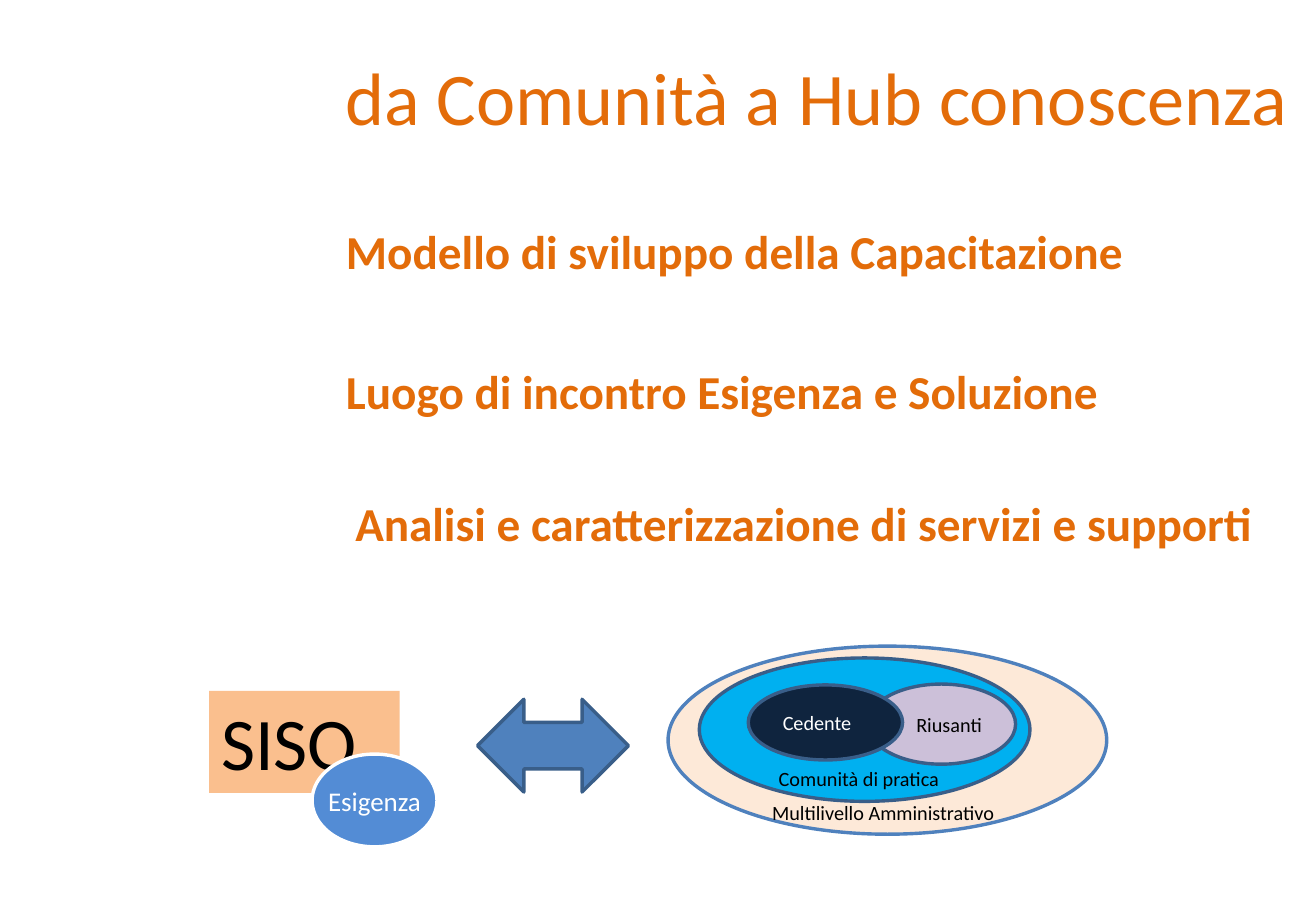
from dataclasses import dataclass
from typing import Optional

from pptx import Presentation
from pptx.dml.color import RGBColor
from pptx.enum import shapes, text
from pptx.util import Pt

ORANGE = RGBColor(0xE3, 0x6C, 0x09)
PEACH = RGBColor(0xFA, 0xBF, 0x8E)
CREAM = RGBColor(0xFD, 0xE9, 0xD8)
BLUE = RGBColor(0x4F, 0x81, 0xBD)
DARK_BLUE = RGBColor(0x39, 0x5E, 0x89)
MID_BLUE = RGBColor(0x53, 0x8C, 0xD5)
SKY = RGBColor(0x00, 0xB0, 0xF0)
LILAC = RGBColor(0xCC, 0xC0, 0xD9)
NAVY = RGBColor(0x0F, 0x24, 0x3E)
BLACK = RGBColor(0, 0, 0)
WHITE = RGBColor(0xFF, 0xFF, 0xFF)

RECT = shapes.MSO_SHAPE.RECTANGLE
OVAL = shapes.MSO_SHAPE.OVAL
ARROW = shapes.MSO_SHAPE.LEFT_RIGHT_ARROW
LEFT, CENTER, RIGHT = text.PP_ALIGN.LEFT, text.PP_ALIGN.CENTER, text.PP_ALIGN.RIGHT
TOP, MIDDLE = text.MSO_ANCHOR.TOP, text.MSO_ANCHOR.MIDDLE


@dataclass
class Label:
    words: str
    size: float
    color: RGBColor = BLACK
    bold: bool = False
    align: text.PP_ALIGN = LEFT
    anchor: text.MSO_ANCHOR = TOP
    wrap: bool = True


@dataclass
class Item:
    """A shape, or a plain text box when it has no kind; box is left, top, width, height."""
    box: tuple[float, float, float, float]
    label: Optional[Label] = None
    kind: Optional[shapes.MSO_SHAPE] = None
    fill: Optional[RGBColor] = None
    line: Optional[RGBColor] = None


def heading(left: float, top: float, width: float, words: str) -> Item:
    return Item((left, top, width, 41), Label(words, 28, ORANGE, bold=True))


TITLE_BOX = (197.5, 26.5, 582.5, 60.5)
TITLE = Label("da Comunità a Hub conoscenza", 44, ORANGE)

ITEMS = [
    heading(198, 128, 487.5, "Modello di sviluppo della Capacitazione"),
    heading(198, 211.5, 487.5, "Luogo di incontro Esigenza e Soluzione"),
    heading(203.5, 289.5, 550, "Analisi e caratterizzazione di servizi e supporti"),
    Item((124, 409.5, 113, 60.5), Label("SISO", 44), RECT, PEACH),
    Item((185, 447, 74, 55),
         Label("Esigenza", 16, WHITE, align=CENTER, anchor=MIDDLE, wrap=False),
         OVAL, MID_BLUE, WHITE),
    Item((396, 383, 260, 111.5), None, OVAL, CREAM, BLUE),
    Item((414.5, 390, 196, 85), None, OVAL, SKY, DARK_BLUE),
    Item((514, 405.5, 88, 47.5), Label("Riusanti", 12, align=RIGHT, anchor=MIDDLE),
         OVAL, LILAC, DARK_BLUE),
    Item((454.5, 450.5, 129.5, 21.5), Label("Comunità di pratica", 12)),
    Item((450.5, 471, 175.5, 21.5), Label("Multilivello Amministrativo", 12)),
    Item((443.5, 406, 91.5, 44.5), Label("Cedente", 12, WHITE, anchor=MIDDLE),
         OVAL, NAVY, DARK_BLUE),
    Item((283, 414.5, 89.5, 55), None, ARROW, BLUE, DARK_BLUE),
]


def write(sp, label: Label) -> None:
    tf = sp.text_frame
    tf.text = label.words
    tf.word_wrap = label.wrap
    tf.auto_size = text.MSO_AUTO_SIZE.NONE
    tf.vertical_anchor = label.anchor
    tf.margin_left = tf.margin_right = Pt(7.2)
    tf.margin_top = tf.margin_bottom = Pt(3.6)
    p = tf.paragraphs[0]
    p.alignment = label.align
    font = p.runs[0].font
    font.name = "Calibri"
    font.size = Pt(label.size)
    font.bold = label.bold
    font.color.rgb = label.color


def draw(s, item: Item) -> None:
    box = [Pt(v) for v in item.box]
    if item.kind is None:
        sp = s.shapes.add_textbox(*box)
    else:
        sp = s.shapes.add_shape(item.kind, *box)
        sp.shadow.inherit = False
        sp.fill.solid()
        sp.fill.fore_color.rgb = item.fill
        if item.line is None:
            sp.line.fill.background()
        else:
            sp.line.color.rgb = item.line
            sp.line.width = Pt(2)
    if item.label:
        write(sp, item.label)


def main() -> None:
    prs = Presentation()
    prs.slide_width, prs.slide_height = Pt(780), Pt(540)
    s = prs.slides.add_slide(prs.slide_layouts[5])
    title = s.shapes.title
    title.left, title.top, title.width, title.height = [Pt(v) for v in TITLE_BOX]
    write(title, TITLE)
    for item in ITEMS:
        draw(s, item)
    prs.save("out.pptx")


if __name__ == "__main__":
    main()
